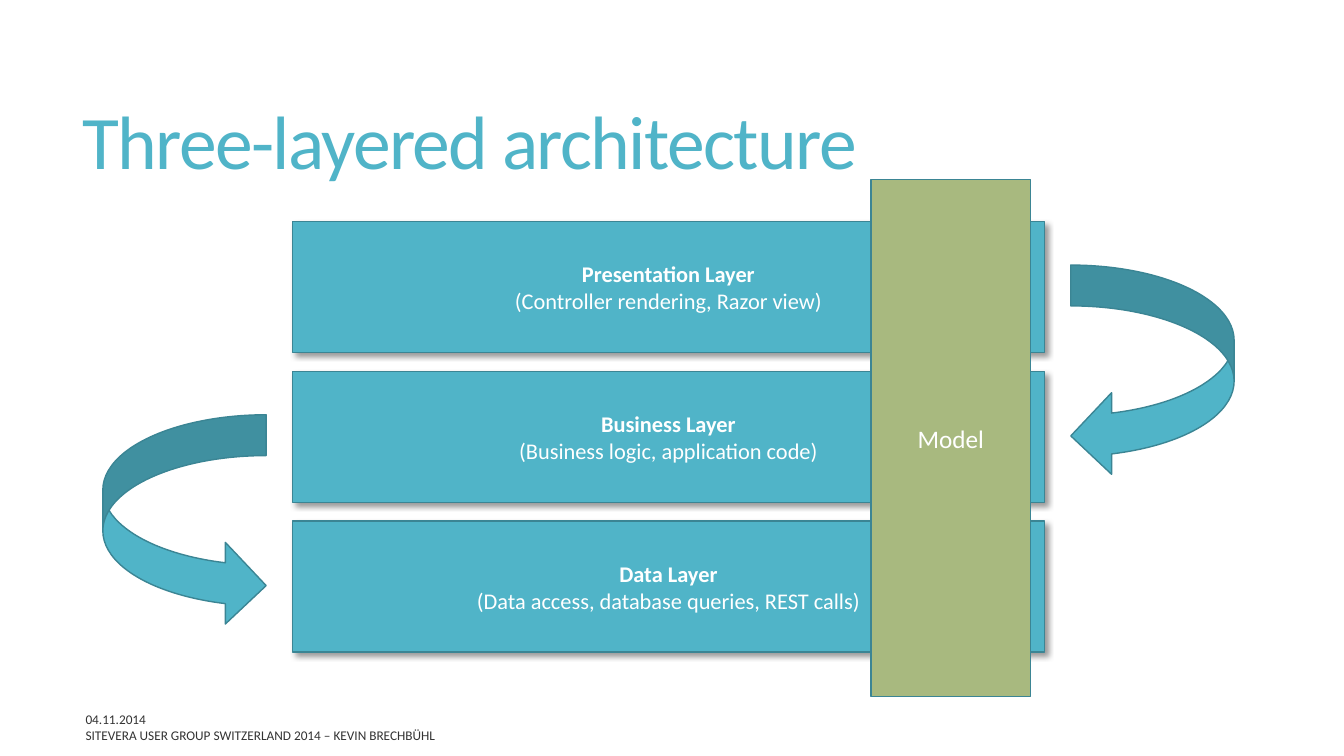
from lxml.etree import SubElement
from pptx import Presentation
from pptx.dml.color import RGBColor
from pptx.enum.shapes import MSO_SHAPE
from pptx.enum.text import MSO_ANCHOR, PP_ALIGN
from pptx.oxml.ns import qn
from pptx.util import Inches, Pt

TITLE = "Three-layered architecture"
FOOTERS = [
    ("04.11.2014", 7.01, 4.5),
    ("SITEVERA USER GROUP SWITZERLAND 2014 – KEVIN BRECHBÜHL", 7.17, 5.5),
]
LAYERS = [
    ("Presentation Layer", "(Controller rendering, Razor view)"),
    ("Business Layer", "(Business logic, application code)"),
    ("Data Layer", "(Data access, database queries, REST calls)"),
]
MODEL = "Model"
FONT = "Calibri"
TEAL, TEAL_DARK, GREEN = "50B4C8", "3B8594", "A8B97F"
WHITE, FOOTER_GREY = "FFFFFF", "333333"

LAYER_LEFT, LAYER_TOP, LAYER_WIDTH, LAYER_HEIGHT = 2.9, 2.2, 7.46, 1.3
LAYER_STEP = 1.485
ARROW_WIDTH, ARROW_HEIGHT, ARROW_GAP, ARROW_DROP = 1.62, 2.1, 0.26, 0.43


def color(value):
    return RGBColor.from_string(value)


def style(paragraph, size, font_color):
    paragraph.font.name = FONT
    paragraph.font.size = Pt(size)
    paragraph.font.color.rgb = color(font_color)


def add_text(text, left, top, width, height, size, font_color):
    frame = slide.shapes.add_textbox(
        Inches(left), Inches(top), Inches(width), Inches(height)).text_frame
    frame.word_wrap = True
    frame.vertical_anchor = MSO_ANCHOR.MIDDLE
    paragraph = frame.paragraphs[0]
    paragraph.text = text
    style(paragraph, size, font_color)
    return paragraph


def add_block(preset, left, top, width, height, fill):
    block = slide.shapes.add_shape(
        preset, Inches(left), Inches(top), Inches(width), Inches(height))
    block.shadow.inherit = False
    block.fill.solid()
    block.fill.fore_color.rgb = color(fill)
    block.line.color.rgb = color(TEAL_DARK)
    block.line.width = Pt(1)
    block.text_frame.vertical_anchor = MSO_ANCHOR.MIDDLE
    return block


def add_shadow(block):
    effects = block._element.spPr.find(qn("a:effectLst"))
    shadow = SubElement(effects, qn("a:outerShdw"), blurRad=str(Pt(4)),
                        dist=str(Pt(3)), dir=str(45 * 60000),
                        algn="tl", rotWithShape="0")
    tint = SubElement(shadow, qn("a:srgbClr"), val="000000")
    SubElement(tint, qn("a:alpha"), val="40000")


def add_layer(index, name, detail):
    layer = add_block(MSO_SHAPE.RECTANGLE, LAYER_LEFT,
                      LAYER_TOP + index * LAYER_STEP,
                      LAYER_WIDTH, LAYER_HEIGHT, TEAL)
    add_shadow(layer)
    paragraph = layer.text_frame.paragraphs[0]
    paragraph.alignment = PP_ALIGN.CENTER
    style(paragraph, 16, WHITE)
    heading = paragraph.add_run()
    heading.text = name
    heading.font.bold = True
    paragraph.add_line_break()
    paragraph.add_run().text = detail


def add_arrow(from_layer, left):
    return add_block(MSO_SHAPE.CURVED_LEFT_ARROW, left,
                     LAYER_TOP + from_layer * LAYER_STEP + ARROW_DROP,
                     ARROW_WIDTH, ARROW_HEIGHT, TEAL)


prs = Presentation()
prs.slide_width, prs.slide_height = Inches(13.33), Inches(7.5)
slide = prs.slides.add_slide(prs.slide_layouts[6])

title = add_text(TITLE, 0.72, 0.55, 11.78, 1.81, 54, TEAL)
title.line_spacing = 0.85
title.runs[0]._r.get_or_add_rPr().set("spc", "-120")

for text, top, width in FOOTERS:
    add_text(text, 0.75, top, width, 0.25, 9.5, FOOTER_GREY)

for index, (name, detail) in enumerate(LAYERS):
    add_layer(index, name, detail)

add_arrow(0, LAYER_LEFT + LAYER_WIDTH + ARROW_GAP)
left_arrow = add_arrow(1, LAYER_LEFT - ARROW_GAP - ARROW_WIDTH)
left_arrow._element.spPr.xfrm.set("flipH", "1")

model = add_block(MSO_SHAPE.RECTANGLE, 8.64, 1.78, 1.58, 5.13, GREEN)
label = model.text_frame.paragraphs[0]
label.text = MODEL
label.alignment = PP_ALIGN.CENTER
style(label, 18, WHITE)

prs.save("out.pptx")
